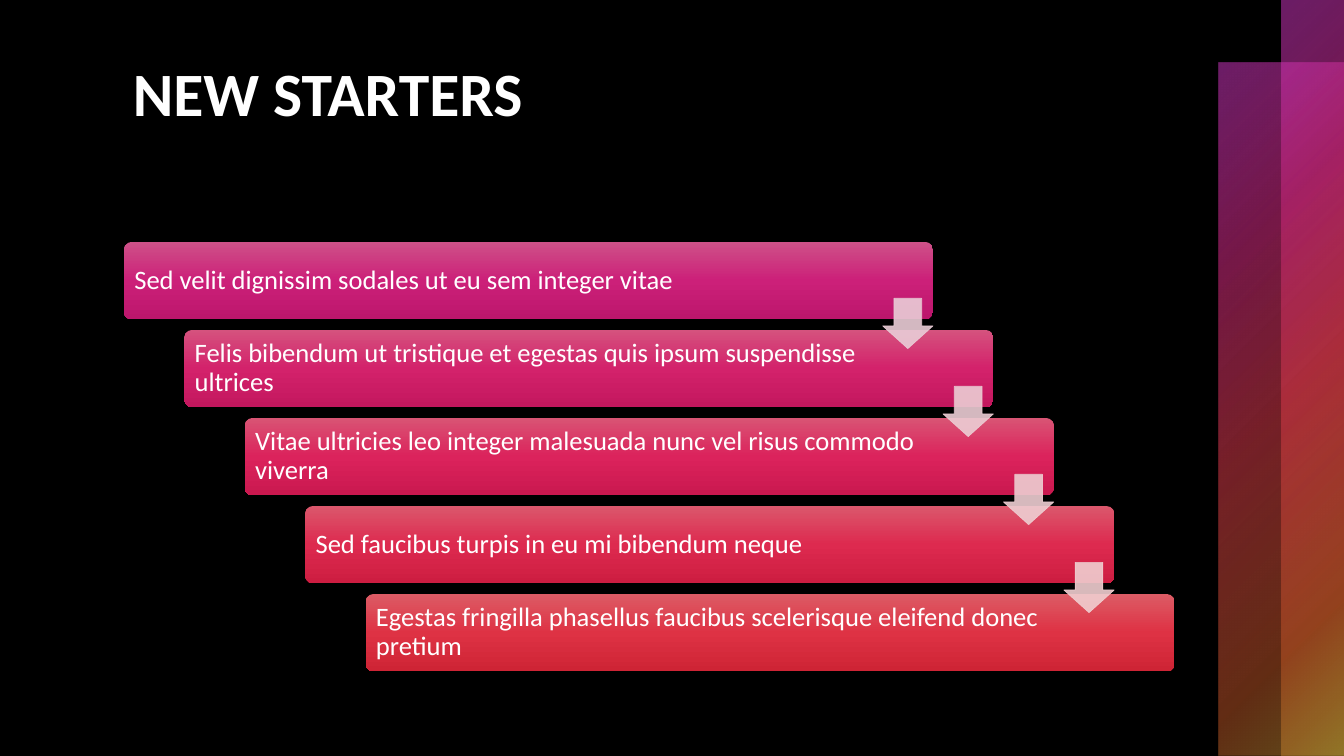
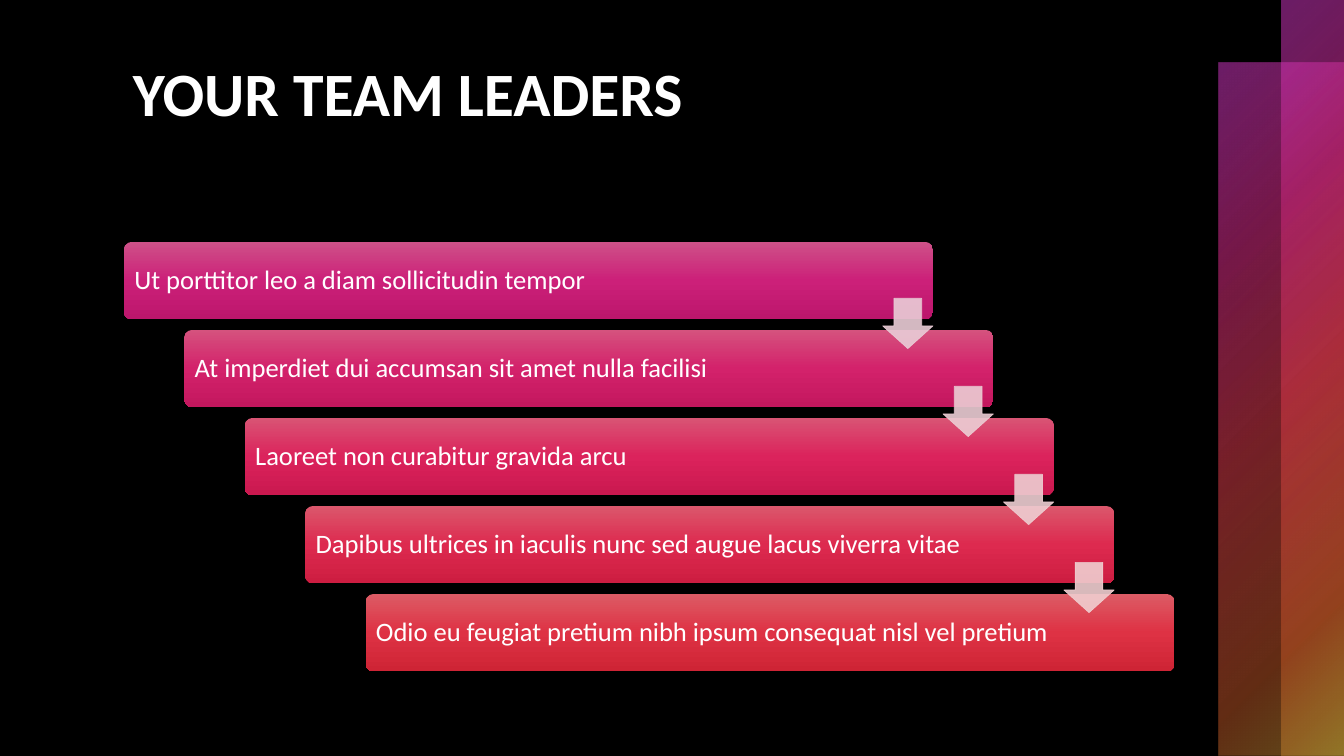
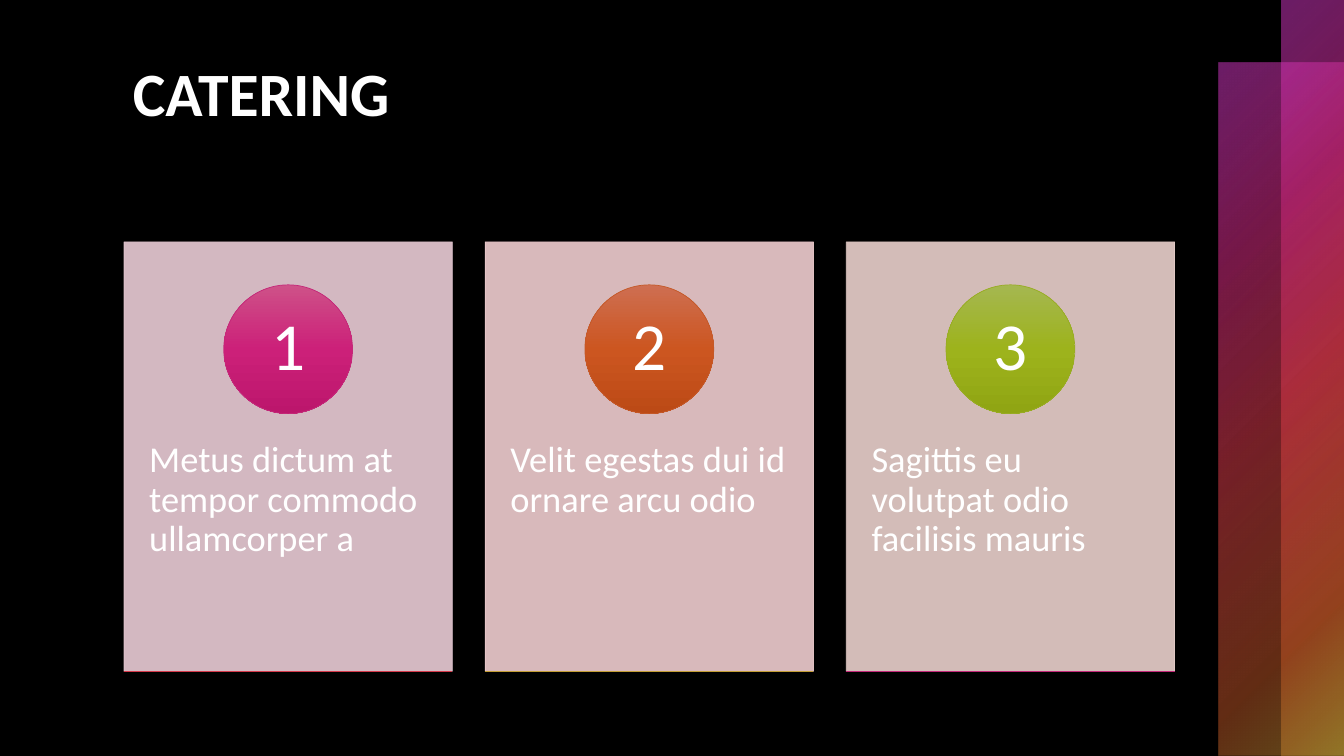
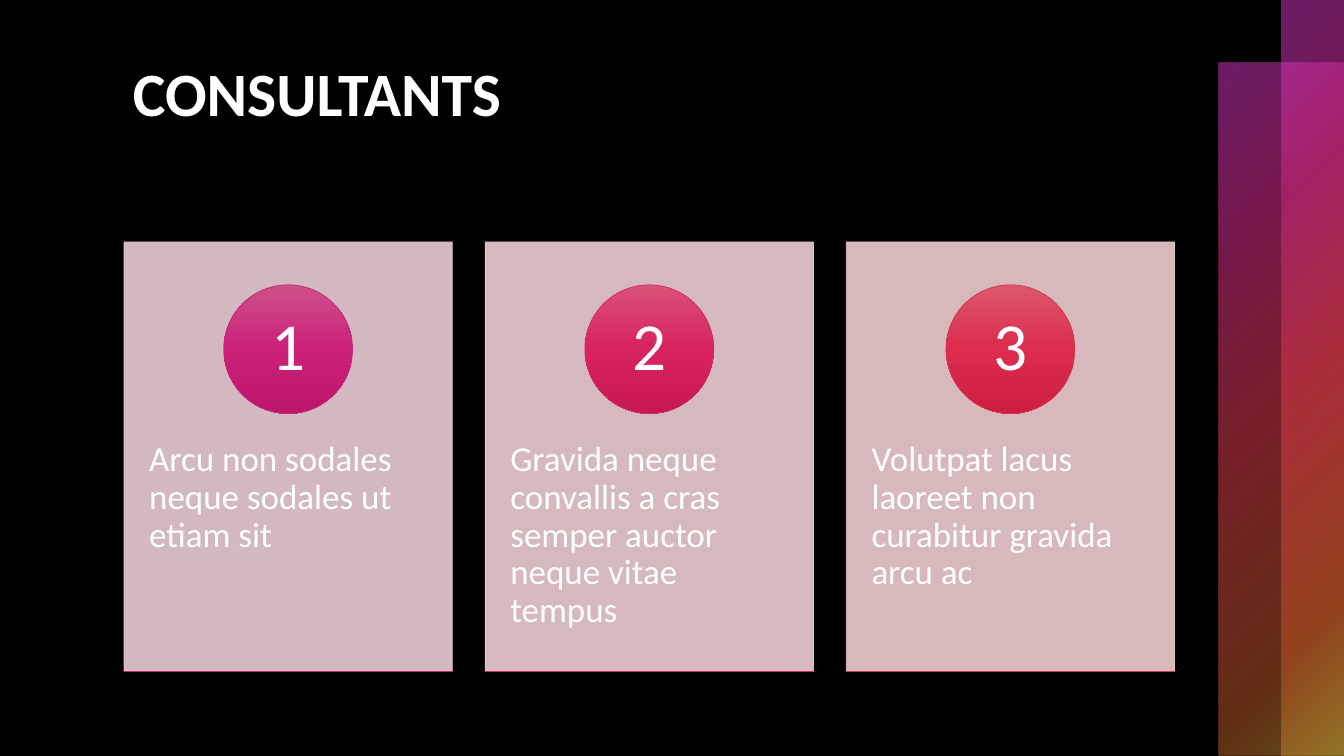
from dataclasses import dataclass

from lxml import etree
from pptx import Presentation
from pptx import util as u
from pptx.dml.color import RGBColor
from pptx.enum import shapes, text
from pptx.oxml import ns

SLIDE_WIDTH, SLIDE_HEIGHT = 13.33, 7.5
BACKGROUND, WHITE = "000000", "FFFFFF"
FONT = "Calibri"
TITLE_SIZE, STEP_SIZE, NUMBER_SIZE = 44, 19, 48
HAIRLINE = 0.5
PALE_ALPHA = 90


@dataclass(frozen=True)
class Box:
    left: float
    top: float
    width: float
    height: float

    def share(self, left: float, top: float, width: float, height: float) -> "Box":
        """The box at the given shares of this one."""
        return Box(self.left + left * self.width, self.top + top * self.height,
                   width * self.width, height * self.height)

    def lengths(self) -> list[int]:
        return [u.Inches(value) for value in (self.left, self.top, self.width, self.height)]


@dataclass(frozen=True)
class Stop:
    position: int
    colour: str
    alpha: int = 100


@dataclass(frozen=True)
class Card:
    words: str
    panel: str
    circle: tuple[str, str, str]
    outline: str
    base: str


SLIDE = Box(0, 0, SLIDE_WIDTH, SLIDE_HEIGHT)
TITLE = Box(1.22, 0.5, 10.37, 1.7)
CONTENT = Box(1.23, 2.4, 10.42, 4.26)
BAND_WIDTH, BAND_HEIGHT = 1.24, 6.88
BANDS = (
    Box(SLIDE_WIDTH - BAND_WIDTH, SLIDE_HEIGHT - BAND_HEIGHT, BAND_WIDTH, BAND_HEIGHT),
    Box(SLIDE_WIDTH - BAND_WIDTH / 2, 0, BAND_WIDTH / 2, SLIDE_HEIGHT),
)
BAND_STOPS = [Stop(0, "D63ACC", 50), Stop(25, "C42879", 60), Stop(50, "D63A4A", 55),
              Stop(81, "C45928", 50), Stop(99, "C39D35", 50)]

# Staircase: shares of the content area
STEP_WIDTH, STEP_HEIGHT = 0.77, 0.18
ARROW_SIDE, ARROW_DROP = 0.65, 0.73  # shares of a step's height
STEP_COLOURS = [
    ("CE5188", "CC2079", "BC166C"),
    ("D5527E", "D3226B", "C3175E"),
    ("D95474", "DB235C", "CA184F"),
    ("DB576C", "DD2A4F", "CD1D41"),
    ("DC5B65", "DE3244", "CE2435"),
]
ARROW_COLOURS = ["EACDD7", "ECCDD4", "EECED2", "F0CED0"]

# Cards: the gap is a share of a card's width, the rest of a card's height
CARD_GAP = 0.1
CIRCLE_TOP, CIRCLE_SIZE, WORDS_TOP = 0.1, 0.3, 0.38

STAIRCASES = {
    "NEW STARTERS": [
        "Sed velit dignissim sodales ut eu sem integer vitae",
        "Felis bibendum ut tristique et egestas quis ipsum suspendisse ultrices",
        "Vitae ultricies leo integer malesuada nunc vel risus commodo viverra",
        "Sed faucibus turpis in eu mi bibendum neque",
        "Egestas fringilla phasellus faucibus scelerisque eleifend donec pretium",
    ],
    "YOUR TEAM LEADERS": [
        "Ut porttitor leo a diam sollicitudin tempor",
        "At imperdiet dui accumsan sit amet nulla facilisi",
        "Laoreet non curabitur gravida arcu",
        "Dapibus ultrices in iaculis nunc sed augue lacus viverra vitae",
        "Odio eu feugiat pretium nibh ipsum consequat nisl vel pretium",
    ],
}
CATERING = [
    Card("Metus dictum at tempor commodo ullamcorper a", "EACDD7",
         ("CE5188", "CC2079", "BC166C"), "C42879", "D63A4A"),
    Card("Velit egestas dui id ornare arcu odio", "F0CED0",
         ("CE6E51", "CC5620", "BC4A16"), "C45928", "C39D35"),
    Card("Sagittis eu volutpat odio facilisis mauris", "EAD1CD",
         ("A5B750", "9DB31C", "90A513"), "98AC23", "C42879"),
]
CONSULTANTS = [
    Card("Arcu non sodales neque sodales ut etiam sit", "EACDD7",
         ("CE5188", "CC2079", "BC166C"), "C42879", "CA296F"),
    Card("Gravida neque convallis a cras semper auctor neque vitae tempus", "EDCED3",
         ("D95277", "D82262", "C71755"), "D02B65", "D42E5A"),
    Card("Volutpat lacus laoreet non curabitur gravida arcu ac", "F0CED0",
         ("DB586A", "DD2C4D", "CD1E3F"), "D53452", "D63A4A"),
]


def rgb(colour: str) -> RGBColor:
    return RGBColor.from_string(colour)


def child(parent, tag: str, **attributes):
    return etree.SubElement(parent, ns.qn(tag),
                            {name: str(value) for name, value in attributes.items()})


def add_alpha(colour_element, percent: int) -> None:
    if percent < 100:
        child(colour_element, "a:alpha", val=percent * 1000)


def add_shape(slide, kind, box: Box):
    shape = slide.shapes.add_shape(kind, *box.lengths())
    shape.shadow.inherit = False
    shape.line.fill.background()
    return shape


def fill_gradient(shape, stops: list[Stop], radial: bool = False) -> None:
    """Fill from the top down, or in circles around the top left corner."""
    gradient = etree.Element(ns.qn("a:gradFill"), rotWithShape="1")
    stop_list = child(gradient, "a:gsLst")
    for stop in stops:
        mark = child(stop_list, "a:gs", pos=stop.position * 1000)
        add_alpha(child(mark, "a:srgbClr", val=stop.colour), stop.alpha)
    if radial:
        # "path" is the attribute of a:path that names the kind of gradient
        circles = child(gradient, "a:path", path="circle")
        child(circles, "a:fillToRect", r=100000, b=100000)
    else:
        child(gradient, "a:lin", ang=5400000, scaled=0)
    shape.element.spPr.find(ns.qn("a:prstGeom")).addnext(gradient)


def fill_glossy(shape, colours: tuple[str, str, str]) -> None:
    fill_gradient(shape, [Stop(50 * index, colour) for index, colour in enumerate(colours)])


def set_outline(line, colour: str) -> None:
    line.color.rgb = rgb(colour)
    line.width = u.Pt(HAIRLINE)


def fill_pale(shape, colour: str) -> None:
    """Give fill and outline one slightly transparent colour."""
    shape.fill.solid()
    shape.fill.fore_color.rgb = rgb(colour)
    set_outline(shape.line, colour)
    for colour_element in shape.element.spPr.iter(ns.qn("a:srgbClr")):
        add_alpha(colour_element, PALE_ALPHA)


def write(shape, words: str, size: float, margins: tuple[float, float, float, float],
          align=text.PP_ALIGN.LEFT, anchor=text.MSO_ANCHOR.TOP,
          spacing: float = 0.9, bold: bool = False) -> None:
    """Set the words; margins are left, top, right, bottom in inches."""
    frame = shape.text_frame
    frame.word_wrap = True
    frame.vertical_anchor = anchor
    (frame.margin_left, frame.margin_top,
     frame.margin_right, frame.margin_bottom) = map(u.Inches, margins)
    paragraph = frame.paragraphs[0]
    paragraph.text = words
    paragraph.alignment = align
    paragraph.line_spacing = spacing
    font = paragraph.font
    font.name, font.size, font.bold = FONT, u.Pt(size), bold
    font.color.rgb = rgb(WHITE)


def add_titled_slide(presentation, title: str):
    slide = presentation.slides.add_slide(presentation.slide_layouts[6])
    for band in BANDS:
        fill_gradient(add_shape(slide, shapes.MSO_SHAPE.RECTANGLE, band), BAND_STOPS, radial=True)
    write(slide.shapes.add_textbox(*TITLE.lengths()), title, TITLE_SIZE,
          (0.1, 0.05, 0.1, 0.05), spacing=1.0, bold=True)
    return slide


def add_staircase(slide, steps: list[str]) -> None:
    last = len(steps) - 1
    boxes = [CONTENT.share((1 - STEP_WIDTH) * index / last, (1 - STEP_HEIGHT) * index / last,
                           STEP_WIDTH, STEP_HEIGHT) for index in range(len(steps))]
    for box, words, colours in zip(boxes, steps, STEP_COLOURS):
        step = add_shape(slide, shapes.MSO_SHAPE.ROUNDED_RECTANGLE, box)
        step.adjustments[0] = 0.1
        fill_glossy(step, colours)
        write(step, words, STEP_SIZE, (0.08, 0.08, 1.18, 0.08), anchor=text.MSO_ANCHOR.MIDDLE)
    for box, colour in zip(boxes, ARROW_COLOURS):
        side = ARROW_SIDE * box.height
        arrow = add_shape(slide, shapes.MSO_SHAPE.DOWN_ARROW,
                          Box(box.left + box.width - side, box.top + ARROW_DROP * box.height,
                              side, side))
        arrow.adjustments[0], arrow.adjustments[1] = 0.55, 0.45
        fill_pale(arrow, colour)


def add_base_line(slide, box: Box, colour: str) -> None:
    left, top, width, height = box.lengths()
    line = slide.shapes.add_connector(shapes.MSO_CONNECTOR.STRAIGHT,
                                      left, top + height, left + width, top + height)
    set_outline(line.line, colour)
    child(line.element.spPr, "a:effectLst")


def add_cards(slide, cards: list[Card], size: float) -> None:
    count = len(cards)
    width = 1 / (count + CARD_GAP * (count - 1))
    for index, card in enumerate(cards):
        box = CONTENT.share(index * width * (1 + CARD_GAP), 0, width, 1)
        panel = add_shape(slide, shapes.MSO_SHAPE.RECTANGLE, box)
        fill_pale(panel, card.panel)
        write(panel, card.words, size, (0.25, WORDS_TOP * box.height + 0.36, 0.25, 0.36))

        diameter = CIRCLE_SIZE * box.height
        circle = add_shape(slide, shapes.MSO_SHAPE.OVAL,
                           Box(box.left + (box.width - diameter) / 2,
                               box.top + CIRCLE_TOP * box.height, diameter, diameter))
        fill_glossy(circle, card.circle)
        set_outline(circle.line, card.outline)
        write(circle, str(index + 1), NUMBER_SIZE, (0.1, 0.01, 0.1, 0.01),
              text.PP_ALIGN.CENTER, text.MSO_ANCHOR.MIDDLE)
        add_base_line(slide, box, card.base)


def main() -> None:
    presentation = Presentation()
    presentation.slide_width = u.Inches(SLIDE_WIDTH)
    presentation.slide_height = u.Inches(SLIDE_HEIGHT)
    background = presentation.slide_master.background.fill
    background.solid()
    background.fore_color.rgb = rgb(BACKGROUND)

    for title, steps in STAIRCASES.items():
        add_staircase(add_titled_slide(presentation, title), steps)
    add_cards(add_titled_slide(presentation, "CATERING"), CATERING, 26)
    add_cards(add_titled_slide(presentation, "CONSULTANTS"), CONSULTANTS, 25)
    presentation.save("out.pptx")


if __name__ == "__main__":
    main()
